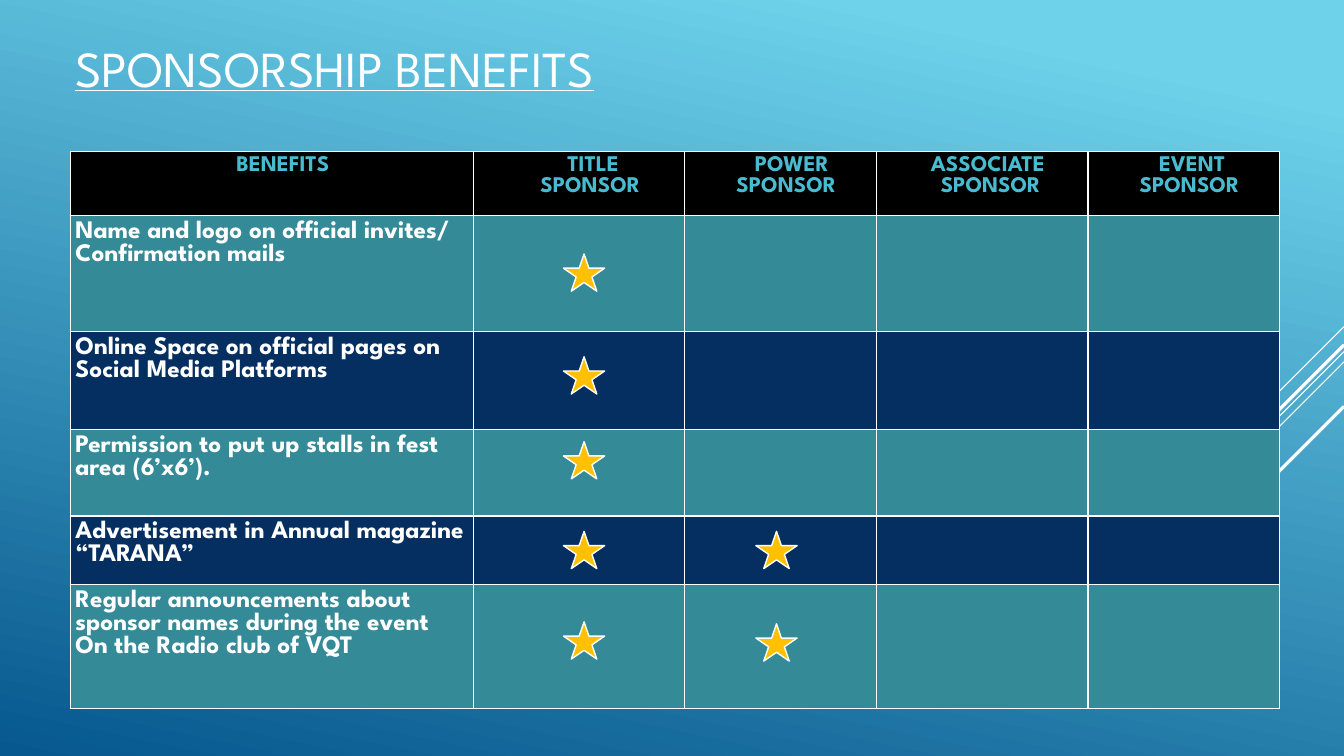
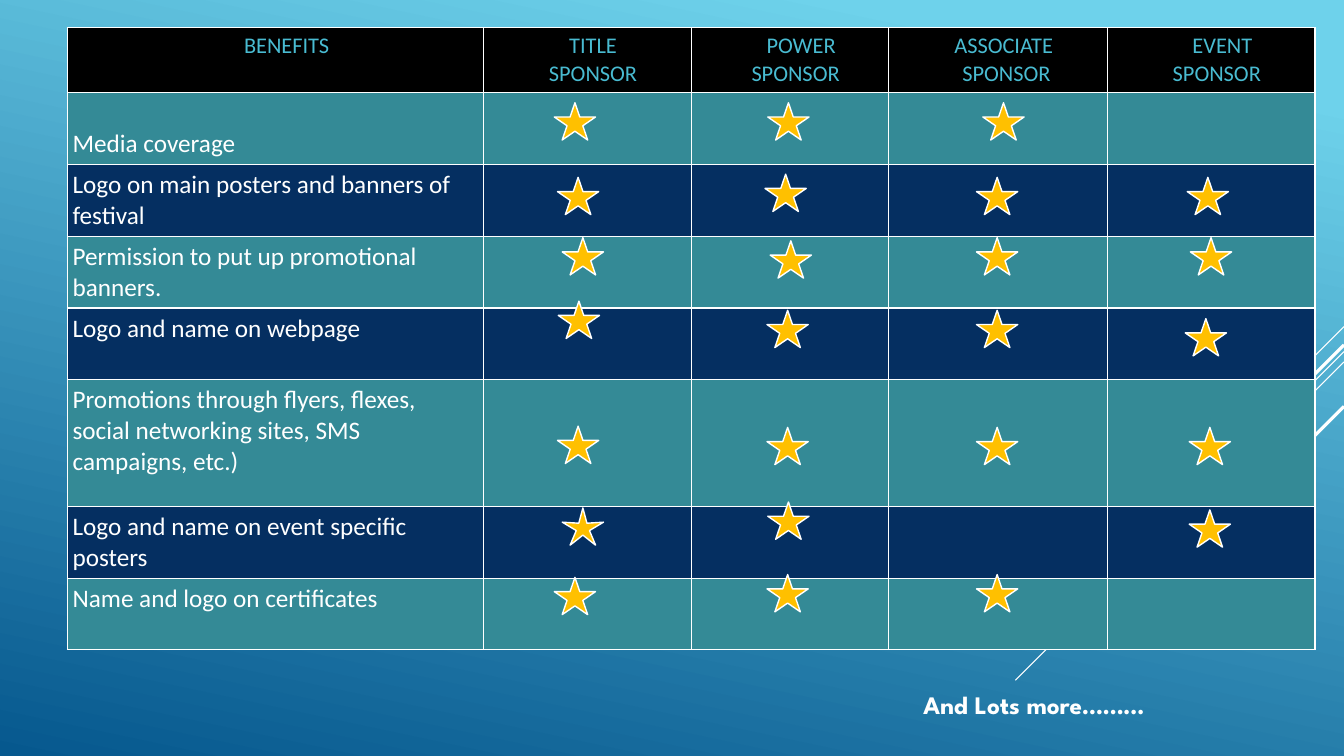
from lxml import etree
from pptx import Presentation
from pptx.dml.color import RGBColor
from pptx.enum import shapes, text
from pptx.oxml.ns import qn
from pptx.util import Cm, Pt

WHITE, CYAN, GOLD = "FFFFFF", "49BBD1", "FFC000"
BLACK, TEAL, NAVY = "000000", "348A96", "052F61"
SKY, DEEP = "6ED2EB", "06588E"
WIDTH, HEIGHT = 33.87, 19.05
INSET = 0.13
SPACE = 0.14  # indent unit of the header lines
# Diagonal rays from the right edge: top, length, weight
RAYS = [(8.23, 2.54, 0.75), (8.86, 8.28, 0.75), (9.12, 5.27, 0.75),
        (8.69, 4.85, 2.25), (10.24, 3.53, 2.25)]


def rgb(value):
    return RGBColor.from_string(value)


class Deck:
    def __init__(self):
        self.prs = Presentation()
        self.prs.slide_width, self.prs.slide_height = Cm(WIDTH), Cm(HEIGHT)
        self.s = None

    def new_slide(self):
        self.s = self.prs.slides.add_slide(self.prs.slide_layouts[6])
        fill = self.s.background.fill
        fill.gradient()
        fill.gradient_angle = 258
        for stop, color, pos in zip(fill.gradient_stops, (SKY, DEEP), (0.1, 1)):
            stop.color.rgb = rgb(color)
            stop.position = pos
        for top, length, weight in RAYS:
            self.ray(top, length, weight)

    def ray(self, top, length, weight):
        c = self.s.shapes.add_connector(
            shapes.MSO_CONNECTOR.STRAIGHT, Cm(WIDTH), Cm(top),
            Cm(WIDTH - length), Cm(top + length))
        c.line.color.rgb = rgb(WHITE)
        c.line.width = Pt(weight)
        etree.SubElement(c._element.spPr, qn("a:effectLst"))

    def style(self, p, font, size, color, bold=False, underline=False):
        for r in p.runs:
            r.font.name, r.font.size = font, Pt(size)
            r.font.bold, r.font.underline = bold, underline
            r.font.color.rgb = rgb(color)

    def label(self, x, y, w, h, words, size, **look):
        tf = self.s.shapes.add_textbox(Cm(x), Cm(y), Cm(w), Cm(h)).text_frame
        tf.word_wrap = True
        tf.vertical_anchor = text.MSO_ANCHOR.BOTTOM
        tf.margin_left = tf.margin_right = Cm(INSET)
        tf.margin_top = tf.margin_bottom = Cm(INSET)
        tf.text = words
        self.style(tf.paragraphs[0], "League Spartan", size, WHITE, **look)

    def star(self, x, y, depth=None):
        sp = self.s.shapes.add_shape(
            shapes.MSO_SHAPE.STAR_5_POINT, Cm(x), Cm(y), Cm(1.04), Cm(0.94))
        sp.shadow.inherit = False
        sp.fill.solid()
        sp.fill.fore_color.rgb = rgb(GOLD)
        sp.line.color.rgb = rgb(WHITE)
        sp.line.width = Pt(1)
        if depth:
            sp.adjustments[0] = depth

    def cell(self, cell, fill):
        cell.margin_left = cell.margin_right = Cm(INSET)
        cell.margin_top = cell.margin_bottom = Cm(INSET)
        cell.fill.solid()
        cell.fill.fore_color.rgb = rgb(fill)
        tcPr = cell._tc.get_or_add_tcPr()
        for i, side in enumerate(("lnL", "lnR", "lnT", "lnB")):
            ln = etree.Element(qn("a:" + side), w=str(Pt(0.96)))
            solid = etree.SubElement(ln, qn("a:solidFill"))
            etree.SubElement(solid, qn("a:srgbClr"), val=WHITE)
            tcPr.insert(i, ln)

    def table(self, x, y, cols, heights, header, benefits, font, bold):
        t = self.s.shapes.add_table(
            len(heights), len(cols), Cm(x), Cm(y),
            Cm(sum(cols)), Cm(sum(heights))).table
        t.first_row = t.horz_banding = False
        for col, width in zip(t.columns, cols):
            col.width = Cm(width)
        for i, (row, height) in enumerate(zip(t.rows, heights)):
            row.height = Cm(height)
            for c in row.cells:
                self.cell(c, BLACK if i == 0 else (NAVY, TEAL)[i % 2])
        # Header lines are centred, each with its own indent
        for j, lines in enumerate(header):
            tf = t.cell(0, j).text_frame
            tf.text = "\n".join(words for words, _ in lines)
            for p, (_, spaces) in zip(tf.paragraphs, lines):
                p.alignment = text.PP_ALIGN.CENTER
                p._p.get_or_add_pPr().set("marL", str(Cm(spaces * SPACE)))
                self.style(p, font, 16, CYAN, bold)
        for i, words in enumerate(benefits, 1):
            tf = t.cell(i, 0).text_frame
            tf.text = words
            for p in tf.paragraphs:
                self.style(p, font, 18, WHITE, bold)
        return t


def header(title, event):
    """Column heads as (words, indent); two indents differ by slide."""
    return [[("BENEFITS", 4)],
            [("TITLE", title), ("SPONSOR", title - 1 if title > 2 else 2)],
            [("POWER", 4), ("SPONSOR", 2)],
            [("ASSOCIATE", 2), ("SPONSOR", 3)],
            [("EVENT", event), ("SPONSOR", 2)]]


def main():
    deck = Deck()

    # Main benefits
    deck.new_slide()
    deck.table(1.77, 3.81, [10.16, 5.33, 4.83, 5.33, 4.83],
               [1.63, 2.92, 2.46, 2.18, 1.73, 3.12], header(5, 3), [
                   "Name and logo on official invites/\nConfirmation mails",
                   "Online Space on official pages on Social Media Platforms",
                   "Permission to put up stalls in fest area (6’x6’).",
                   "Advertisement in Annual magazine “TARANA”",
                   "Regular announcements about sponsor names during the event\n"
                   "On the Radio club of VQT"],
               "League Spartan", True)
    for x, tops in ((14.2, (6.4, 8.99, 11.13, 13.39, 15.67)),
                    (19.05, (13.39, 15.72))):
        for y in tops:
            deck.star(x, y)
    deck.label(1.77, 0.81, 27.13, 1.78, "SPONSORSHIP BENEFITS", 36,
               underline=True)

    # Further benefits
    deck.new_slide()
    t = deck.table(1.7, 0.69, [10.49, 5.23, 4.98, 5.51, 5.23],
                   [1.65, 1.8, 1.8, 1.8, 1.8, 3.2, 1.8, 1.8], header(2, 4), [
                       "Media coverage",
                       "Logo on main posters and banners of festival",
                       "Permission to put up promotional banners.",
                       "Logo and name on webpage",
                       "Promotions through flyers, flexes,\n"
                       "social networking sites, SMS campaigns, etc.)",
                       "Logo and name on event specific posters",
                       "Name and logo on certificates"],
                   "Calibri", False)
    t.cell(1, 0).vertical_anchor = text.MSO_ANCHOR.BOTTOM
    star_rows = [
        [(13.97, 2.59), (19.35, 2.59), (24.77, 2.59)],
        [(14.05, 4.47), (19.28, 4.39), (24.61, 4.47), (29.92, 4.47)],
        [(14.17, 5.99), (19.41, 6.07), (24.61, 5.99), (30, 5.99)],
        [(14.07, 7.59), (19.33, 7.82), (24.61, 7.82), (29.87, 8.03)],
        [(14.05, 10.74), (19.33, 10.77), (24.61, 10.77), (29.97, 10.77)],
        [(14.17, 12.8, 0.16), (19.35, 12.65), (29.97, 12.85)],
        [(13.97, 14.55), (19.33, 14.48), (24.61, 14.48)]]
    for row in star_rows:
        for star in row:
            deck.star(*star)
    deck.label(23.14, 17.25, 10, 1.02, "And Lots more………", 18, bold=True)

    deck.prs.save("out.pptx")


if __name__ == "__main__":
    main()
